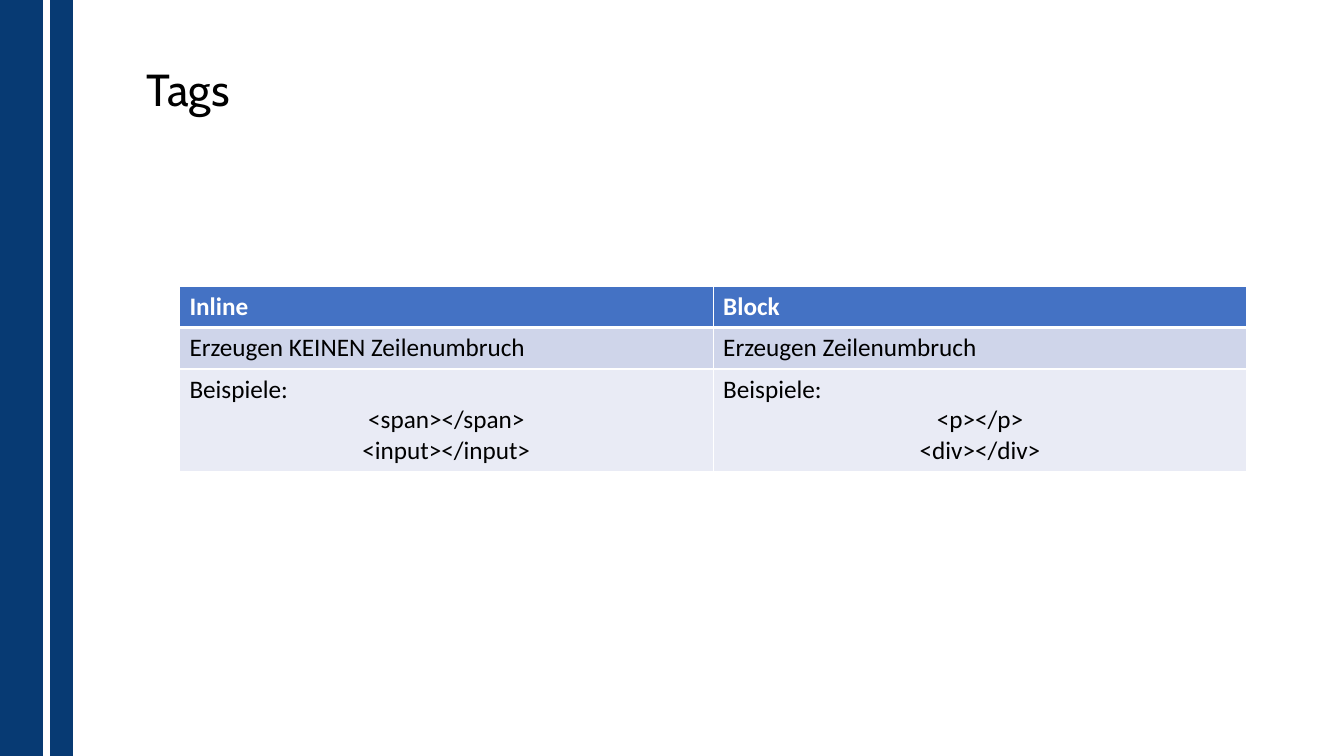
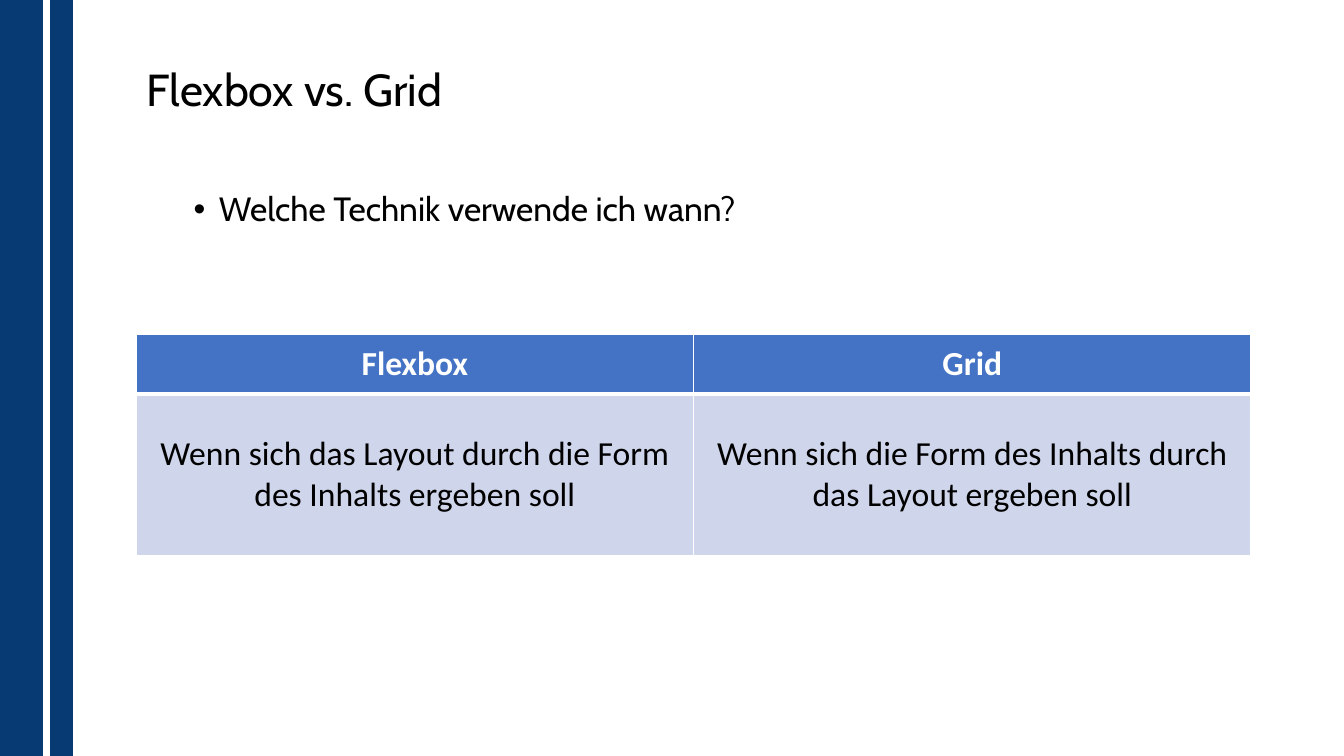
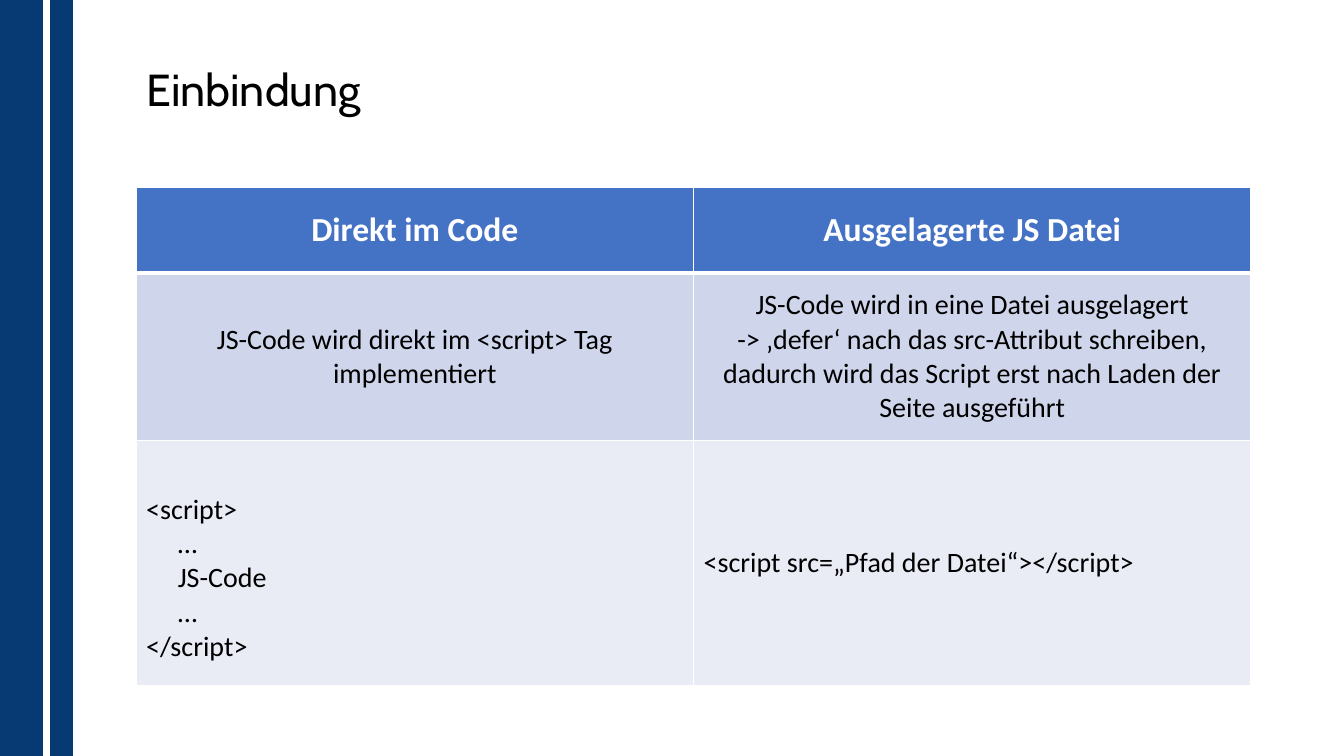
import dataclasses

import pptx
import pptx.dml.color
import pptx.enum.shapes
import pptx.enum.text
import pptx.oxml.ns
import pptx.oxml.xmlchemy
import pptx.util
import lxml.etree

NAVY = pptx.dml.color.RGBColor(0x07, 0x3A, 0x73)
BLUE = pptx.dml.color.RGBColor(0x44, 0x72, 0xC4)
LIGHT_BLUE = pptx.dml.color.RGBColor(0xCF, 0xD5, 0xEA)
PALE_BLUE = pptx.dml.color.RGBColor(0xE9, 0xEB, 0xF5)
WHITE = pptx.dml.color.RGBColor(0xFF, 0xFF, 0xFF)
BLACK = pptx.dml.color.RGBColor(0x00, 0x00, 0x00)

HEADING_FONT = "Cabin"
TABLE_FONT = "Calibri"

SLIDE_WIDTH = pptx.util.Inches(13.33)
SLIDE_HEIGHT = pptx.util.Inches(7.5)
COLUMN = SLIDE_WIDTH / 100
ROW = SLIDE_HEIGHT / 100

BANDS = [(0, 0, 3.15, 100), (3.75, 0, 1.65, 100)]
TITLE_BOX = (10.13, 7.47, 51.23, 9.47)
BODY_BOX = (13.65, 24.8, 79.43, 64.8)

LEFT = pptx.enum.text.PP_ALIGN.LEFT
CENTER = pptx.enum.text.PP_ALIGN.CENTER
TOP = pptx.enum.text.MSO_ANCHOR.TOP
MIDDLE = pptx.enum.text.MSO_ANCHOR.MIDDLE
qn = pptx.oxml.ns.qn


@dataclasses.dataclass
class Line:
    text: str
    alignment: object = CENTER
    indent: float = 0


@dataclasses.dataclass
class TableRow:
    height: float
    size: int
    cells: list
    top_gap: float = 0


def to_lengths(box):
    left, top, width, height = box
    return round(left * COLUMN), round(top * ROW), round(width * COLUMN), round(height * ROW)


def place(shape, box):
    shape.left, shape.top, shape.width, shape.height = to_lengths(box)


def style_master_text(master, style_name, size, space_before=0):
    level = master.element.find(qn("p:txStyles")).find(qn(style_name)).find(qn("a:lvl1pPr"))
    level.set("algn", "l")
    spacing = level.find(qn("a:spcBef"))
    spacing.clear()
    lxml.etree.SubElement(spacing, qn("a:spcPts")).set("val", str(space_before * 100))
    line_spacing = lxml.etree.Element(qn("a:lnSpc"))
    lxml.etree.SubElement(line_spacing, qn("a:spcPct")).set("val", "90000")
    level.insert(0, line_spacing)
    font = level.find(qn("a:defRPr"))
    font.set("sz", str(size * 100))
    font.find(qn("a:latin")).set("typeface", HEADING_FONT)
    return level


def move_bands_to_master(master, slide):
    for number, box in enumerate(BANDS):
        band = slide.shapes.add_shape(pptx.enum.shapes.MSO_SHAPE.RECTANGLE, *to_lengths(box))
        band.name = f"Band {number + 1}"
        band.shadow.inherit = False
        band.fill.solid()
        band.fill.fore_color.rgb = NAVY
        band.line.color.rgb = NAVY
        band.line.width = pptx.util.Pt(1)
        element = band.element
        element.find(qn("p:nvSpPr")).find(qn("p:cNvPr")).set("id", str(100 + number))
        master.shapes.element.insert(2 + number, element)


def style_master(presentation):
    master = presentation.slide_master
    title, body = master.placeholders[0], master.placeholders[1]
    place(title, TITLE_BOX)
    place(body, BODY_BOX)
    title.text_frame.vertical_anchor = MIDDLE
    style_master_text(master, "p:titleStyle", 32)
    bullet = style_master_text(master, "p:bodyStyle", 24, space_before=10)
    bullet.set("marL", str(pptx.util.Inches(0.25)))
    bullet.set("indent", str(-pptx.util.Inches(0.25)))


def add_slide(presentation, title, bullets=()):
    layout = presentation.slide_layouts[1 if bullets else 5]
    slide = presentation.slides.add_slide(layout)
    slide.shapes.title.text_frame.text = title
    if bullets:
        slide.placeholders[1].text_frame.text = "\n".join(bullets)
    return slide


def set_borders(cell, top_width, bottom_width):
    properties = cell._tc.get_or_add_tcPr()
    sides = {"a:lnL": 1, "a:lnR": 1, "a:lnT": top_width, "a:lnB": bottom_width}
    for position, (side, width) in enumerate(sides.items()):
        border = lxml.etree.Element(qn(side), w=str(pptx.util.Pt(width)))
        fill = lxml.etree.SubElement(border, qn("a:solidFill"))
        lxml.etree.SubElement(fill, qn("a:srgbClr")).set("val", str(WHITE))
        properties.insert(position, border)


def fill_cell(cell, lines, size, color, bold):
    cell.text_frame.text = "\n".join(line.text for line in lines)
    for paragraph, line in zip(cell.text_frame.paragraphs, lines):
        paragraph.alignment = line.alignment
        if line.indent:
            indent = round(line.indent * COLUMN)
            paragraph._p.get_or_add_pPr().set("marL", str(indent))
        for run in paragraph.runs:
            run.font.name = TABLE_FONT
            run.font.size = pptx.util.Pt(size)
            run.font.bold = bold
            run.font.color.rgb = color


def add_comparison(slide, left, top, width, rows, anchor=MIDDLE):
    height = sum(row.height for row in rows)
    frame = slide.shapes.add_table(len(rows), 2, *to_lengths((left, top, width, height)))
    table = frame.table
    for column in table.columns:
        column.width = round(width / 2 * COLUMN)
    for index, row in enumerate(rows):
        table.rows[index].height = round(row.height * ROW)
        is_header = index == 0
        background = BLUE if is_header else (LIGHT_BLUE if index % 2 else PALE_BLUE)
        for cell, lines in zip(table.rows[index].cells, row.cells):
            fill_cell(cell, lines, row.size, WHITE if is_header else BLACK, is_header)
            cell.vertical_anchor = anchor
            cell.fill.solid()
            cell.fill.fore_color.rgb = background
            set_borders(cell, 3 if index == 1 else 1, 3 if is_header else 1)
    for index, row in enumerate(rows):
        if row.top_gap:
            table.cell(index, 0).margin_top = round(row.top_gap * ROW)


def build_tags(presentation):
    slide = add_slide(presentation, "Tags")
    add_comparison(slide, 13.35, 37.87, 79.43, [
        TableRow(5.47, 18, [[Line("Inline", LEFT)], [Line("Block", LEFT)]]),
        TableRow(5.47, 18, [[Line("Erzeugen KEINEN Zeilenumbruch", LEFT)],
                            [Line("Erzeugen Zeilenumbruch", LEFT)]]),
        TableRow(13.3, 18, [
            [Line("Beispiele:", LEFT), Line("<span></span>"), Line("<input></input>")],
            [Line("Beispiele:", LEFT), Line("<p></p>"), Line("<div></div>")]]),
    ], anchor=TOP)
    return slide


def build_flexbox_and_grid(presentation):
    slide = add_slide(presentation, "Flexbox vs. Grid", ["Welche Technik verwende ich wann?"])
    add_comparison(slide, 10.13, 44.27, 82.95, [
        TableRow(7.87, 24, [[Line("Flexbox")], [Line("Grid")]]),
        TableRow(21.3, 24, [
            [Line("Wenn sich das Layout durch die Form des Inhalts ergeben soll")],
            [Line("Wenn sich die Form des Inhalts durch das Layout ergeben soll")]]),
    ])


def build_embedding(presentation):
    slide = add_slide(presentation, "Einbindung")
    add_comparison(slide, 10.13, 24.8, 82.95, [
        TableRow(11.33, 24, [[Line("Direkt im Code")], [Line("Ausgelagerte JS Datei")]]),
        TableRow(22.13, 20, [
            [Line("JS-Code wird direkt im <script> Tag implementiert")],
            [Line("JS-Code wird in eine Datei ausgelagert"),
             Line("-> ‚defer‘ nach das src-Attribut schreiben, dadurch wird das Script "
                  "erst nach Laden der Seite ausgeführt")]]),
        TableRow(32.4, 20, [
            [Line("<script>", LEFT), Line("…", LEFT, 2.35), Line("JS-Code", LEFT, 2.35),
             Line("…", LEFT, 2.35), Line("</script>", LEFT)],
            [Line("<script src=„Pfad der Datei“></script>", LEFT)]], top_gap=4.73),
    ])


def main():
    presentation = pptx.Presentation()
    presentation.slide_width = SLIDE_WIDTH
    presentation.slide_height = SLIDE_HEIGHT
    style_master(presentation)
    first_slide = build_tags(presentation)
    move_bands_to_master(presentation.slide_master, first_slide)
    build_flexbox_and_grid(presentation)
    build_embedding(presentation)
    presentation.save("out.pptx")


if __name__ == "__main__":
    main()
